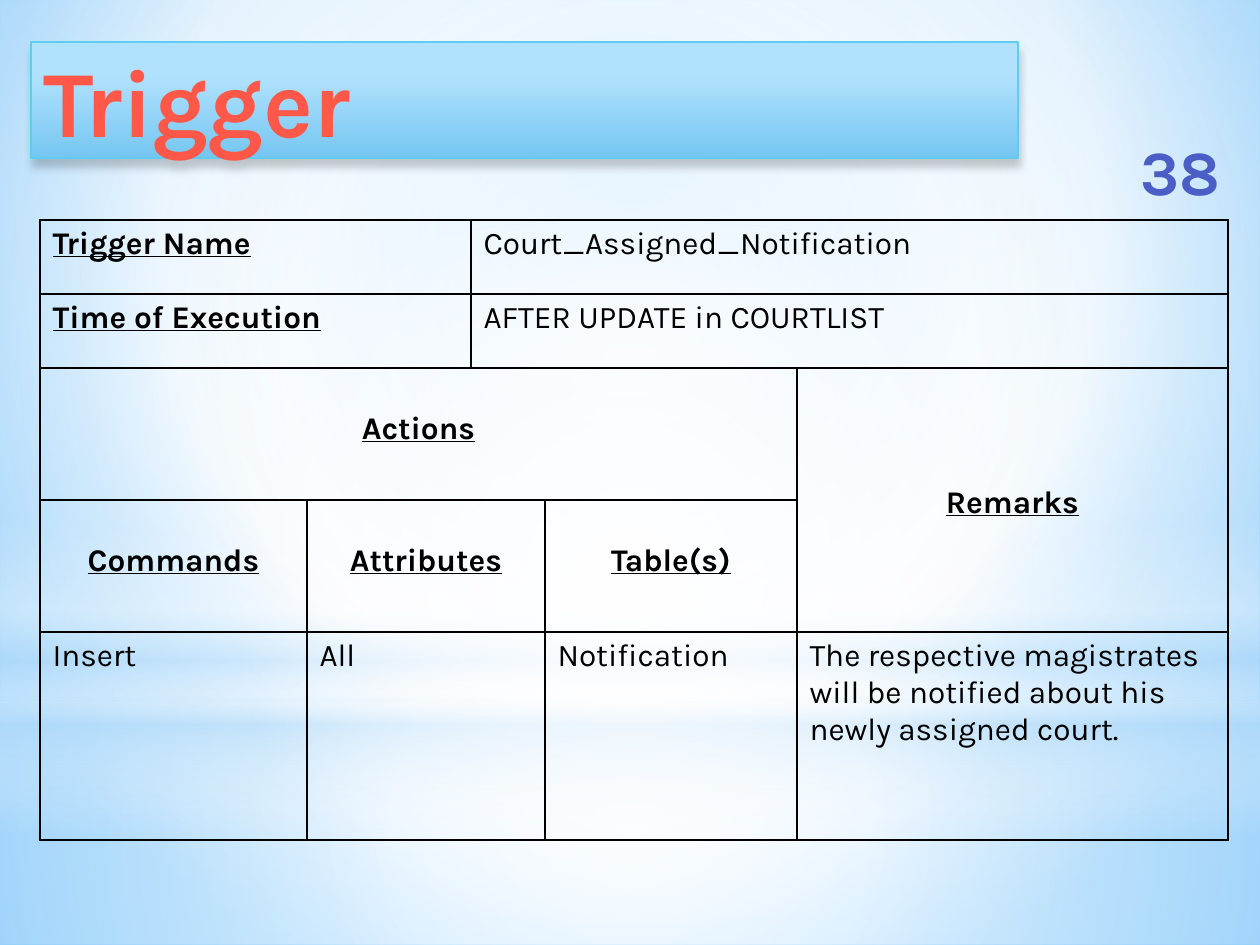
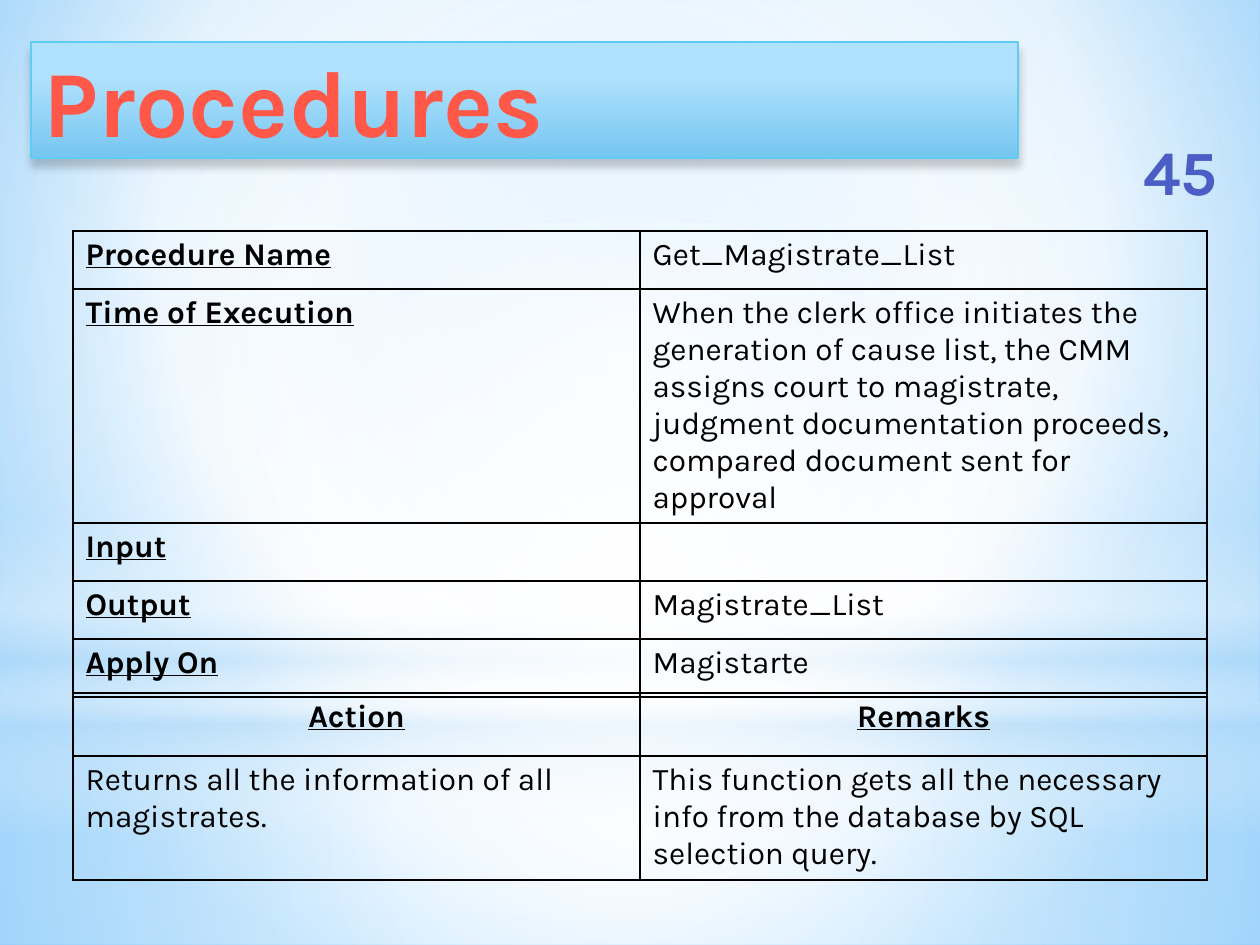
import pptx
import pptx.dml.color
import pptx.enum.shapes
import pptx.enum.text
import pptx.oxml
import pptx.oxml.ns
import pptx.util
from lxml import etree

# ---- Content: (text, style) cells; styles are heading, centred, value ----
TRIGGER = {
    "at": (40, 220), "columns": [267, 164, 74, 252, 431],
    "rows": [74, 74, 132, 132, 208],
    # row, column, rows spanned, columns spanned, text, style, lines above
    "cells": [
        (0, 0, 1, 2, "Trigger Name", "heading", 0),
        (0, 2, 1, 3, "Court_Assigned_Notification", "value", 0),
        (1, 0, 1, 2, "Time of Execution", "heading", 0),
        (1, 2, 1, 3, "AFTER UPDATE in COURTLIST", "value", 0),
        (2, 0, 1, 4, "Actions", "centred", 1),
        (2, 4, 2, 1, "Remarks", "centred", 3),
        (3, 0, 1, 1, "Commands", "centred", 1),
        (3, 1, 1, 2, "Attributes", "centred", 1),
        (3, 3, 1, 1, "Table(s)", "centred", 1),
        (4, 0, 1, 1, "Insert", "value", 0),
        (4, 1, 1, 2, "All", "value", 0),
        (4, 3, 1, 1, "Notification", "value", 0),
        (4, 4, 1, 1, "The respective magistrates will be notified about his "
                     "newly assigned court.", "value", 0),
    ],
}
PROCEDURE_FACTS = [
    ("Procedure Name", "Get_Magistrate_List"),
    ("Time of Execution",
     "When the clerk office initiates the generation of cause list, the CMM "
     "assigns court to magistrate, judgment documentation proceeds, compared "
     "document sent for approval"),
    ("Input", ""),
    ("Output", "Magistrate_List"),
    ("Apply On", "Magistarte"),
]
PROCEDURE_ACTIONS = [
    ("Action", "Remarks"),
    ("Returns all the information of all magistrates.",
     "This function gets all the necessary info from the database by SQL "
     "selection query."),
]


def two_columns(top, heights, pairs, style_of):
    """Describe a plain two-column table; style_of(row, column) names a style."""
    return {
        "at": (73, top), "columns": [567, 567], "rows": heights,
        "cells": [(r, c, 1, 1, text, style_of(r, c), 0)
                  for r, pair in enumerate(pairs) for c, text in enumerate(pair)],
    }


SLIDES = [
    ("Trigger", "38", [TRIGGER]),
    ("Procedures", "45", [
        two_columns(231, [58, 234, 58, 58, 58], PROCEDURE_FACTS,
                    lambda r, c: "value" if c else "heading"),
        two_columns(693, [63, 124], PROCEDURE_ACTIONS,
                    lambda r, c: "value" if r else "centred"),
    ]),
]

# ---- Shared look: gradient stops are (position %, colour, opacity %) ----
FONT = "Karla"
INK = "000000"
BAND_EDGE = "5ECCF3"
BAND = [(28, "B1E2FD", 100), (100, "76C6F1", 100)]
TITLE_INK = [(0, "FF6155", 100), (25, "FF5748", 100), (50, "EF3718", 100),
             (75, "FF5748", 100), (100, "FF6155", 100)]
NUMBER_INK = [(0, "717FD2", 100), (49, "4A5EC6", 100), (50, "324CB5", 100),
              (92, "31479D", 100), (100, "30469A", 100)]
SKY = [(0, "9ED5FF", 100), (60, "FFFFFF", 100), (100, "5BB9FF", 100)]
CENTRE = (50, 50, 50, 50)
BACKDROP = [  # preset, place, stops, centre of a circular gradient
    ("RECTANGLE", (0, 703, 1260, 242),
     [(0, "FFFFFF", 91), (37, "FFFFFF", 76), (100, "B4DCFA", 79)], CENTRE),
    ("RECTANGLE", (0, 0, 1260, 703),
     [(0, "FFFFFF", 89), (48, "FFFFFF", 62), (100, "B4DCFA", 79)], CENTRE),
    ("RECTANGLE", (0, 519, 1260, 315),
     [(0, "FFFFFF", 0), (29, "FFFFFF", 30), (45, "B4DCFA", 40),
      (55, "FFFFFF", 26), (65, "B4DCFA", 60), (100, "FFFFFF", 0)], None),
    ("OVAL", (0, 220, 1260, 703),
     [(0, "FFFFFF", 100), (56, "FFFFFF", 0)], CENTRE),
]
LINE_HEIGHT, CELL_MARGIN = 37, 6
qn = pptx.oxml.ns.qn
Pt = pptx.util.Pt


def px(*lengths):
    """Turn px (126 to the inch) into EMU."""
    return [round(length * 914400 / 126) for length in lengths]


def colour(hex_string):
    return pptx.dml.color.RGBColor.from_string(hex_string)


def add(parent, tag, **attributes):
    return etree.SubElement(parent, qn(tag),
                            {k: str(v) for k, v in attributes.items()})


def add_colour(parent, hex_string, opacity):
    value = add(parent, "a:srgbClr", val=hex_string)
    if opacity < 100:
        add(value, "a:alpha", val=opacity * 1000)


def set_gradient(fill, owner, stops, centre=None):
    """Top-down gradient, or a circular one when a centre is given."""
    fill.gradient()
    gradient = list(owner.iter(qn("a:gradFill")))[-1]
    for child in list(gradient):
        gradient.remove(child)
    stop_list = add(gradient, "a:gsLst")
    for position, hex_string, opacity in stops:
        add_colour(add(stop_list, "a:gs", pos=position * 1000), hex_string, opacity)
    if centre:
        sides = {side: part * 1000 for side, part in zip("ltrb", centre)}
        add(add(gradient, "a:path", **{"path": "circle"}), "a:fillToRect", **sides)
    else:
        add(gradient, "a:lin", ang=90 * 60000, scaled=0)


def set_font(paragraph, size, bold):
    paragraph.font.name = FONT
    paragraph.font.size = Pt(size)
    paragraph.font.bold = bold


def write_label(shape, text, size, stops, align):
    """One bold gradient-coloured line, centred vertically."""
    frame = shape.text_frame
    frame.word_wrap = True
    frame.auto_size = pptx.enum.text.MSO_AUTO_SIZE.NONE
    frame.vertical_anchor = pptx.enum.text.MSO_ANCHOR.MIDDLE
    line = frame.paragraphs[0]
    line.alignment = align
    run = line.add_run()
    run.text = text
    set_font(line, size, True)
    set_gradient(run.font.fill, shape.element.txBody, stops)


def add_backdrop(master, slide):
    """Shapes are drawn on a slide, then moved behind the master's placeholders."""
    for i, (preset, place, stops, centre) in enumerate(BACKDROP):
        glow = slide.shapes.add_shape(
            getattr(pptx.enum.shapes.MSO_SHAPE, preset), *px(*place))
        glow.shadow.inherit = False
        glow.line.fill.background()
        set_gradient(glow.fill, glow.element.spPr, stops, centre)
        glow.element.nvSpPr.cNvPr.set("id", str(20 + i))
        master.shapes.element.insert(2 + i, glow.element)


def add_title(slide, text):
    band = slide.shapes.title
    band.left, band.top, band.width, band.height = px(31, 42, 987, 116)
    outline = add(band.element.spPr, "a:prstGeom", prst="roundRect")
    add(outline, "a:avLst")
    set_gradient(band.fill, band.element.spPr, BAND)
    band.line.color.rgb = colour(BAND_EDGE)
    band.line.width = Pt(0.75)
    shadow = add(add(band.element.spPr, "a:effectLst"), "a:outerShdw",
                 blurRad=Pt(5), dist=Pt(4), dir=90 * 60000, rotWithShape=0)
    add_colour(shadow, INK, 20)
    write_label(band, text, 54, TITLE_INK, pptx.enum.text.PP_ALIGN.LEFT)


def add_page_number(slide, number):
    box = slide.shapes.add_textbox(*px(1119, 136, 123, 68))
    write_label(box, number, 36, NUMBER_INK, pptx.enum.text.PP_ALIGN.CENTER)


def draw_borders(cell):
    cell.fill.background()
    properties = cell._tc.get_or_add_tcPr()
    for i, side in enumerate(("a:lnL", "a:lnR", "a:lnT", "a:lnB")):
        border = add(properties, side, w=Pt(1))
        add_colour(add(border, "a:solidFill"), INK, 100)
        properties.insert(i, border)


def add_grid(slide, grid):
    columns, rows = grid["columns"], grid["rows"]
    table = slide.shapes.add_table(
        len(rows), len(columns),
        *px(*grid["at"], sum(columns), sum(rows))).table
    table.first_row = table.horz_banding = False
    for column, width in zip(table.columns, px(*columns)):
        column.width = width
    for row, height in zip(table.rows, px(*rows)):
        row.height = height
    for cell in table.iter_cells():
        draw_borders(cell)
    for r, c, row_span, column_span, text, style, lines_above in grid["cells"]:
        cell = table.cell(r, c)
        if row_span * column_span > 1:
            cell.merge(table.cell(r + row_span - 1, c + column_span - 1))
        cell.margin_top = px(CELL_MARGIN + lines_above * LINE_HEIGHT)[0]
        cell.text = text
        entry = cell.text_frame.paragraphs[0]
        if style == "centred":
            entry.alignment = pptx.enum.text.PP_ALIGN.CENTER
        set_font(entry, 18, style != "value")
        entry.font.underline = style != "value"
        entry.font.color.rgb = colour(INK)


def main():
    deck = pptx.Presentation()
    deck.slide_width, deck.slide_height = px(1260, 945)
    master = deck.slide_master
    set_gradient(master.background.fill, master.element, SKY, (20, 10, 20, 60))
    for title, number, grids in SLIDES:
        slide = deck.slides.add_slide(deck.slide_layouts.get_by_name("Title Only"))
        if len(deck.slides) == 1:
            add_backdrop(master, slide)
        add_title(slide, title)
        add_page_number(slide, number)
        for grid in grids:
            add_grid(slide, grid)
    deck.save("out.pptx")


if __name__ == "__main__":
    main()
